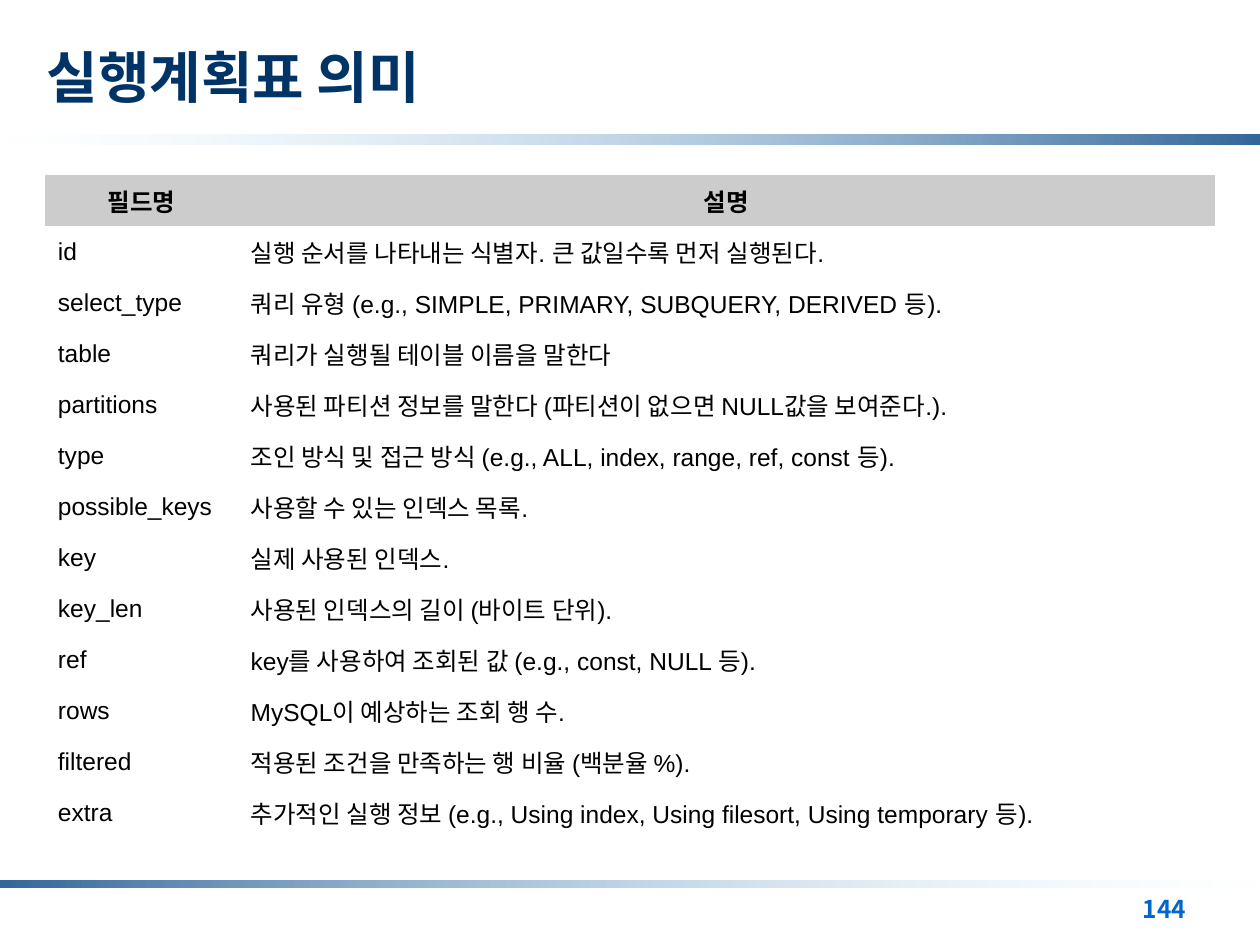
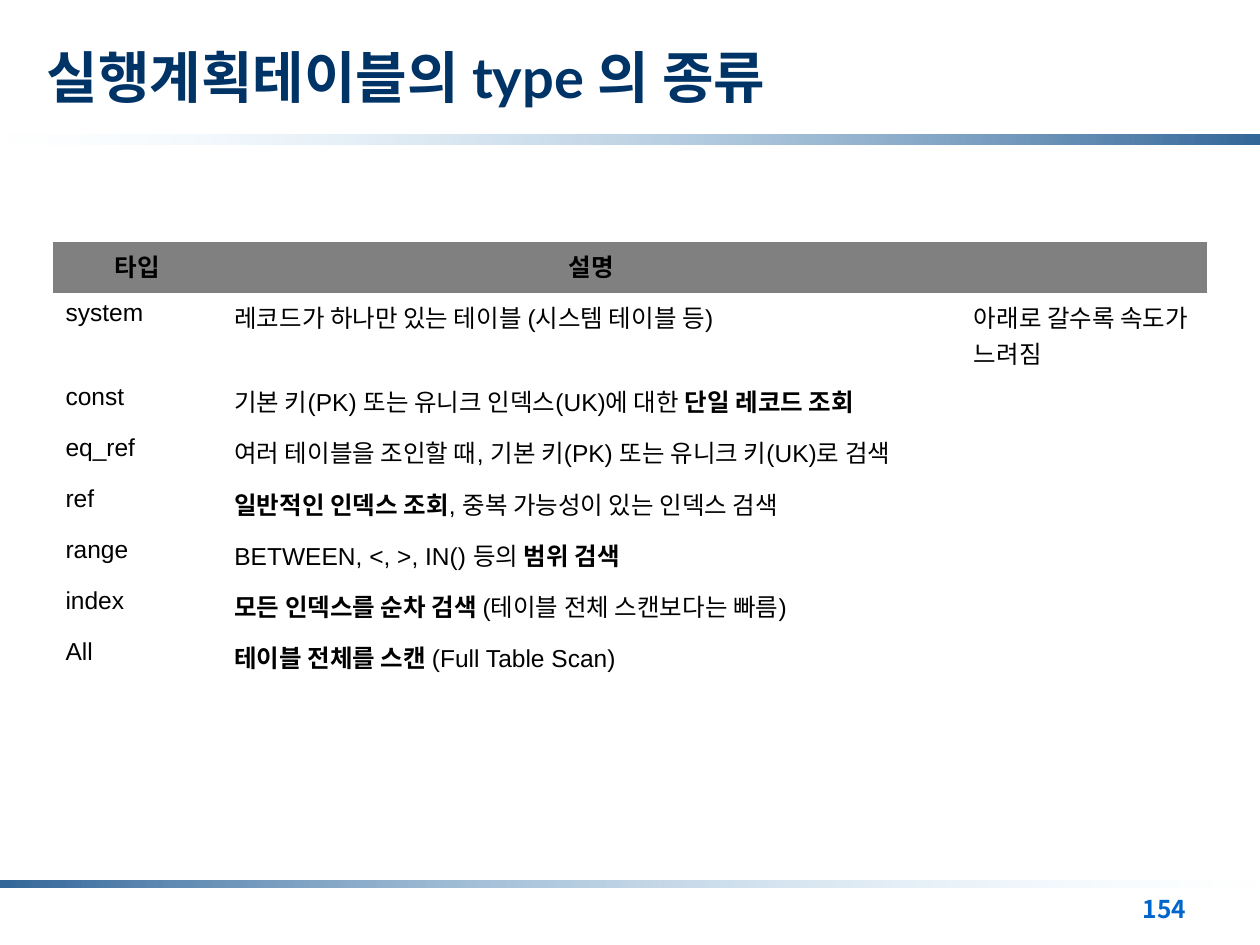
from lxml import etree
from pptx import Presentation
from pptx.dml.color import RGBColor
from pptx.enum.shapes import MSO_SHAPE
from pptx.enum.text import MSO_ANCHOR, MSO_AUTO_SIZE, PP_ALIGN
from pptx.oxml.ns import qn
from pptx.util import Inches, Pt

RECTANGLE = MSO_SHAPE.RECTANGLE
TOP, MIDDLE = MSO_ANCHOR.TOP, MSO_ANCHOR.MIDDLE
LEFT, CENTER = PP_ALIGN.LEFT, PP_ALIGN.CENTER
NO_AUTOFIT = MSO_AUTO_SIZE.NONE

COLORS = {
    "title": "003366",
    "page": "0066CC",
    "band_dark": "336699",
    "band_light": "CCECFF",
    "body": "000000",
    "light_header": "CCCCCC",
    "dark_header": "808080",
}
KOREAN_FONT = "Noto Sans CJK KR"
FORMATS = {
    "title": {"name": "Lato", "size": Pt(32), "bold": True},
    "page": {"name": KOREAN_FONT, "size": Pt(14), "bold": True},
    "body": {"name": "Arial", "size": Pt(14), "bold": False},
}
FRAME = {"word_wrap": True, "auto_size": NO_AUTOFIT,
         "margin_left": Inches(0.1), "margin_right": Inches(0.1),
         "margin_top": Inches(0.05), "margin_bottom": Inches(0.05)}
COLUMNS, ROWS = 100, 75
TABLE_ROW = 52.7 / 13
PLAIN_TABLE_STYLE = "{2D5ABB26-0587-4C30-8999-92F81FD0307C}"

FIELDS = [
    ("필드명", "설명"),
    ("id", "실행 순서를 나타내는 식별자. 큰 값일수록 먼저 실행된다."),
    ("select_type", "쿼리 유형 (e.g., SIMPLE, PRIMARY, SUBQUERY, DERIVED 등)."),
    ("table", "쿼리가 실행될 테이블 이름을 말한다"),
    ("partitions", "사용된 파티션 정보를 말한다 (파티션이 없으면 NULL값을 보여준다.)."),
    ("type", "조인 방식 및 접근 방식 (e.g., ALL, index, range, ref, const 등)."),
    ("possible_keys", "사용할 수 있는 인덱스 목록."),
    ("key", "실제 사용된 인덱스."),
    ("key_len", "사용된 인덱스의 길이 (바이트 단위)."),
    ("ref", "key를 사용하여 조회된 값 (e.g., const, NULL 등)."),
    ("rows", "MySQL이 예상하는 조회 행 수."),
    ("filtered", "적용된 조건을 만족하는 행 비율 (백분율 %)."),
    ("extra", "추가적인 실행 정보 (e.g., Using index, Using filesort, Using temporary 등)."),
]
JOIN_TYPES = [
    ("타입", "설명"),
    ("system", "레코드가 하나만 있는 테이블 (시스템 테이블 등)", "아래로 갈수록 속도가 느려짐"),
    ("const", "기본 키(PK) 또는 유니크 인덱스(UK)에 대한 **단일 레코드 조회**"),
    ("eq_ref", "여러 테이블을 조인할 때, 기본 키(PK) 또는 유니크 키(UK)로 검색"),
    ("ref", "**일반적인 인덱스 조회**, 중복 가능성이 있는 인덱스 검색"),
    ("range", "BETWEEN, <, >, IN() 등의 **범위 검색**"),
    ("index", "**모든 인덱스를 순차 검색 **(테이블 전체 스캔보다는 빠름)"),
    ("All", "**테이블 전체를 스캔 **(Full Table Scan)"),
]


def color(key):
    return RGBColor.from_string(COLORS[key])


def set_values(target, values):
    for attribute, value in values.items():
        setattr(target, attribute, value)


class Deck:
    def __init__(self):
        self.presentation = Presentation()
        set_values(self.presentation, {"slide_width": Inches(10), "slide_height": Inches(7.5)})
        self.slide = None

    def place(self, left, top, width, height):
        """Turn grid columns and rows into slide lengths."""
        column = self.presentation.slide_width / COLUMNS
        row = self.presentation.slide_height / ROWS
        return [round(n) for n in (left * column, top * row, width * column, height * row)]

    def add_slide(self, title, page):
        self.slide = self.presentation.slides.add_slide(self.presentation.slide_layouts[5])
        self.band(10.7, 0.8, ("band_light", "band_dark"))
        self.band(69.9, 0.5, ("band_dark", "band_light"))
        self.title(title)
        self.page_number(page)

    def add_runs(self, paragraph, text, style, bold=False):
        """Add styled runs; text between pairs of ** is bold."""
        for index, part in enumerate(text.split("**")):
            if not part:
                continue
            run = paragraph.add_run()
            run.text = part
            set_values(run.font, FORMATS[style])
            run.font.color.rgb = color(style)
            if bold or index % 2:
                run.font.bold = True
            east_asian = etree.Element(qn("a:ea"), typeface=KOREAN_FONT)
            run.font._element.find(qn("a:latin")).addnext(east_asian)

    def band(self, top, height, ends):
        """Draw a full-width band whose light end fades out."""
        band = self.slide.shapes.add_shape(RECTANGLE, *self.place(0, top, COLUMNS, height))
        band.shadow.inherit = False
        band.line.fill.background()
        band.fill.gradient()
        band.fill.gradient_angle = 0
        for stop, position, end in zip(band.fill.gradient_stops, (0, 1), ends):
            stop.position = position
            stop.color.rgb = color(end)
        light = band._element.xpath(f'.//a:gs/a:srgbClr[@val="{COLORS["band_light"]}"]')[0]
        etree.SubElement(light, qn("a:alpha"), val="0")

    def title(self, text):
        title = self.slide.shapes.title
        box = dict(zip(("left", "top", "width", "height"), self.place(2.7, 1.3, 92.1, 9.5)))
        set_values(title, box)
        set_values(title.text_frame, {**FRAME, "vertical_anchor": MIDDLE})
        paragraph = title.text_frame.paragraphs[0]
        paragraph.alignment = LEFT
        self.add_runs(paragraph, text, "title")

    def page_number(self, page):
        frame = self.slide.shapes.add_textbox(*self.place(89.7, 70.5, 7.6, 3.7)).text_frame
        set_values(frame, FRAME)
        self.add_runs(frame.paragraphs[0], str(page), "page")

    def table(self, left, top, widths, rows, header, anchor):
        area = self.place(left, top, sum(widths), TABLE_ROW * len(rows))
        table = self.slide.shapes.add_table(len(rows), len(widths), *area).table
        set_values(table, {"first_row": False, "horz_banding": False})
        table._tbl.tblPr.find(qn("a:tableStyleId")).text = PLAIN_TABLE_STYLE
        for column, width in zip(table.columns, widths):
            column.width = self.place(0, 0, width, 0)[2]
        for r, texts in enumerate(rows):
            for c in range(len(widths)):
                cell = table.cell(r, c)
                cell.vertical_anchor = anchor
                paragraph = cell.text_frame.paragraphs[0]
                paragraph.font.size = FORMATS["body"]["size"]
                if r == 0:
                    cell.fill.solid()
                    cell.fill.fore_color.rgb = color(header)
                    paragraph.alignment = CENTER
                else:
                    cell.fill.background()
                if c < len(texts):
                    self.add_runs(paragraph, texts[c], "body", bold=r == 0)


def main():
    deck = Deck()
    deck.add_slide("실행계획표 의미", 144)
    deck.table(3.6, 13.9, (15.3, 77.5), FIELDS, "light_header", MIDDLE)
    deck.add_slide("실행계획테이블의 type 의 종류", 154)
    deck.table(4.2, 19.2, (13.4, 58.7, 19.5), JOIN_TYPES, "dark_header", TOP)
    deck.presentation.save("out.pptx")


if __name__ == "__main__":
    main()
